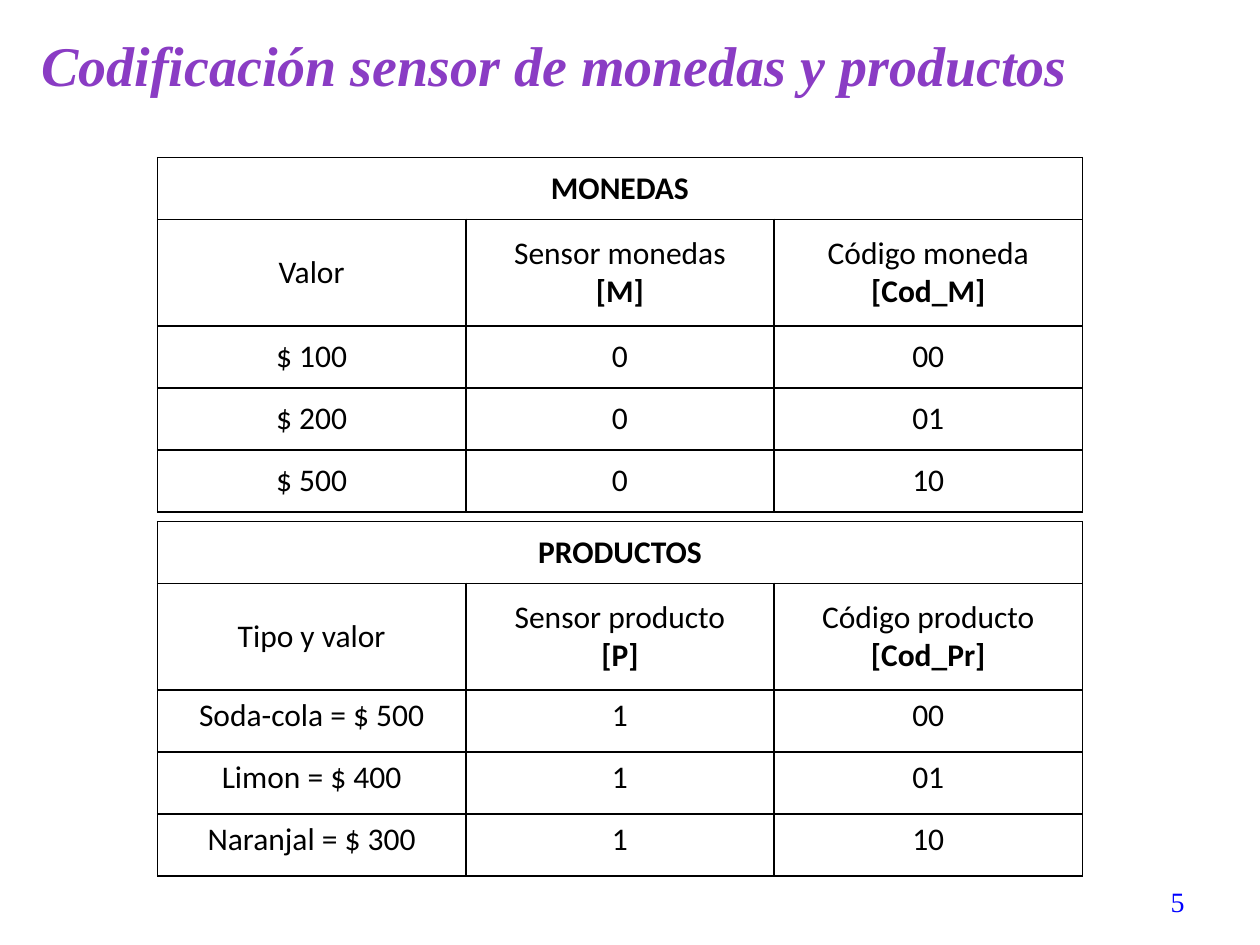
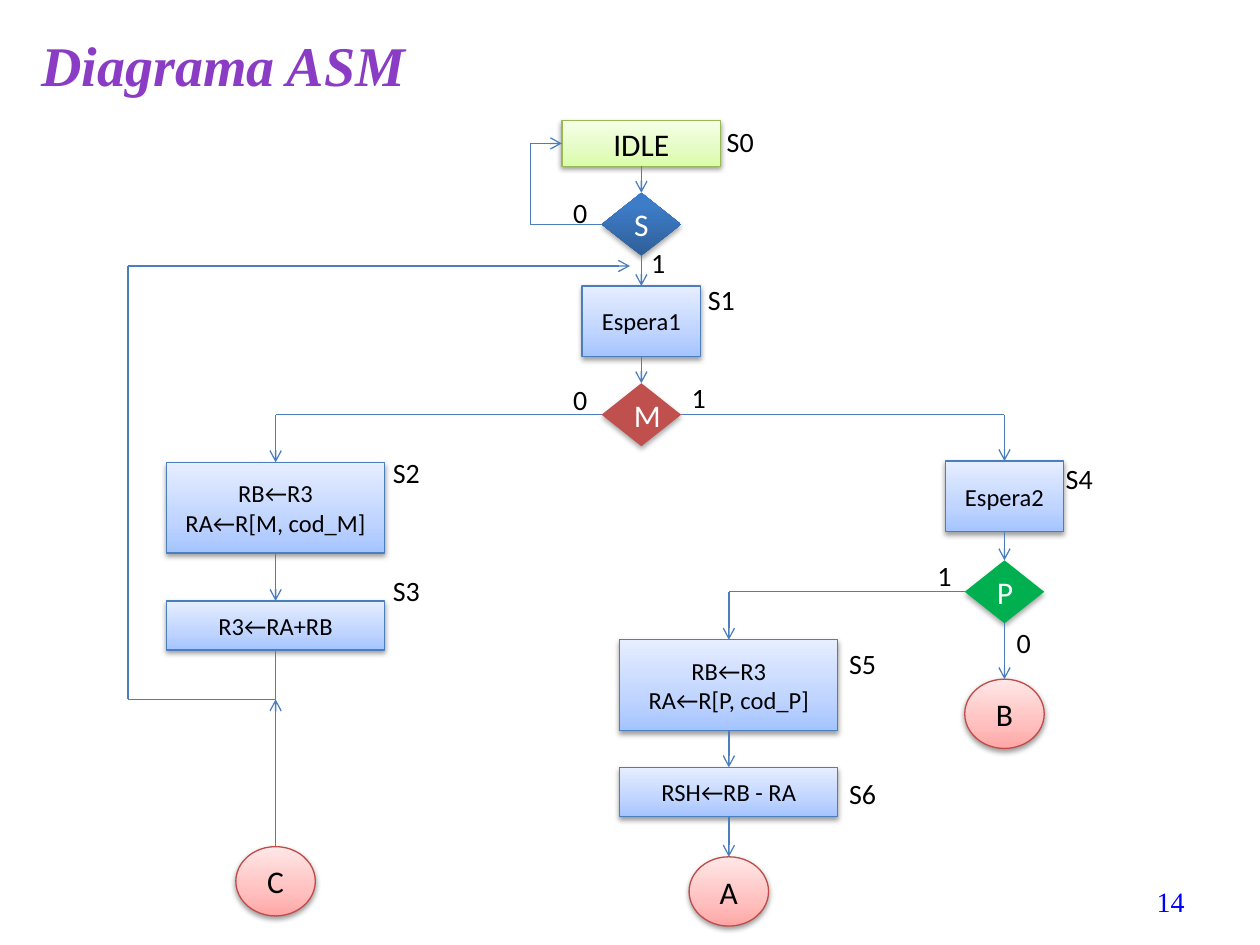
from dataclasses import dataclass
from typing import Any

from lxml import etree
from pptx import Presentation
from pptx.dml.color import RGBColor
from pptx.enum.shapes import MSO_CONNECTOR, MSO_SHAPE
from pptx.enum.text import MSO_ANCHOR, MSO_AUTO_SIZE, PP_ALIGN
from pptx.oxml.ns import qn
from pptx.util import Pt

RECTANGLE, DIAMOND, OVAL = MSO_SHAPE.RECTANGLE, MSO_SHAPE.DIAMOND, MSO_SHAPE.OVAL
STRAIGHT, ELBOW = MSO_CONNECTOR.STRAIGHT, MSO_CONNECTOR.ELBOW
ANCHOR_TOP, ANCHOR_MIDDLE = MSO_ANCHOR.TOP, MSO_ANCHOR.MIDDLE
ALIGN_LEFT, ALIGN_CENTER, ALIGN_RIGHT = PP_ALIGN.LEFT, PP_ALIGN.CENTER, PP_ALIGN.RIGHT
FIT_SHAPE = MSO_AUTO_SIZE.SHAPE_TO_FIT_TEXT
TOP, LEFT, BOTTOM, RIGHT = range(4)

BLACK, WHITE, LINK_BLUE = "000000", "FFFFFF", "4B7EBC"
TITLE_FONT = {"size": Pt(32), "name": "Times New Roman", "bold": True, "italic": True}
NUMBER_FONT = {"size": Pt(16), "name": "Times New Roman"}
CELL_FONT = {"size": Pt(18), "name": "Calibri"}
LABEL_FONT = {"size": Pt(16), "name": "Calibri"}

GREEN_FADE = ((0, "DAFDA7"), (35, "E4FCC2"), (100, "F5FFE7"))
NAVY_FADE = ((0, "2F5F99"), (80, "3D7CC7"), (100, "3A7CCB"))
BLUE_FADE = ((0, "A4C4FF"), (35, "BFD4FF"), (100, "E6EEFF"))
PINK_FADE = ((0, "FFA6A5"), (35, "FFC0BF"), (100, "FFE7E7"))

MAIN_AXIS, COIN_AXIS, PRODUCT_AXIS, WAIT_AXIS = 366.5, 157.5, 416.5, 574
MERGE_Y, RETURN_X, RETURN_Y = 399.6, 73.2, 152


@dataclass(frozen=True)
class Kind:
    outline: Any
    width: float
    height: float
    size: int
    fill: Any
    line: str | None = None
    color: str = BLACK


@dataclass(frozen=True)
class Node:
    name: str
    kind: Kind
    axis: float
    top: float
    lines: tuple[str, ...]


@dataclass(frozen=True)
class Label:
    text: str
    left: float
    top: float


@dataclass(frozen=True)
class Route:
    stops: tuple
    arrow: bool = True


@dataclass(frozen=True)
class CodeTable:
    top: float
    heading: str
    columns: tuple[tuple[str, ...], ...]
    rows: tuple[tuple[str, ...], ...]
    body_anchor: Any


def decision(fill: Any) -> Kind:
    return Kind(DIAMOND, 45.4, 36, 18, fill, color=WHITE)


IDLE = Kind(RECTANGLE, 90.7, 26, 18, GREEN_FADE, "98B955")
WAIT = Kind(RECTANGLE, 67.7, 40.3, 14, BLUE_FADE, LINK_BLUE)
LOAD = Kind(RECTANGLE, 124.6, 51.8, 14, BLUE_FADE, LINK_BLUE)
OPERATE = Kind(RECTANGLE, 124.6, 28.1, 14, BLUE_FADE, LINK_BLUE)
EXIT = Kind(OVAL, 45.4, 39.6, 18, PINK_FADE, "BF4C48")

NODES = (
    Node("idle", IDLE, MAIN_AXIS, 69, ("IDLE",)),
    Node("start", decision(NAVY_FADE), MAIN_AXIS, 110.2, ("S",)),
    Node("wait coin", WAIT, MAIN_AXIS, 163.4, ("Espera1",)),
    Node("coin", decision("C0504D"), MAIN_AXIS, 219, ("M",)),
    Node("load coin", LOAD, COIN_AXIS, 264.2, ("RB←R3", "RA←R[M, cod_M]")),
    Node("add", OPERATE, COIN_AXIS, 343.4, ("R3←RA+RB",)),
    Node("wait product", WAIT, WAIT_AXIS, 263.5, ("Espera2",)),
    Node("product", decision("00B050"), WAIT_AXIS, 320.2, ("P",)),
    Node("load price", LOAD, PRODUCT_AXIS, 365.6, ("RB←R3", "RA←R[P, cod_P]")),
    Node("subtract", OPERATE, PRODUCT_AXIS, 438.5, ("RSH←RB - RA",)),
    Node("A", EXIT, PRODUCT_AXIS, 489.6, ("A",)),
    Node("B", EXIT, WAIT_AXIS, 388.1, ("B",)),
    Node("C", EXIT, COIN_AXIS, 483.8, ("C",)),
)
DOWN_LINKS = (
    ("idle", "start"), ("start", "wait coin"), ("wait coin", "coin"),
    ("load coin", "add"), ("wait product", "product"), ("product", "B"),
    ("load price", "subtract"), ("subtract", "A"),
)
ROUTES = (
    *(Route(((upper, BOTTOM), (lower, TOP))) for upper, lower in DOWN_LINKS),
    Route((("coin", LEFT), (COIN_AXIS, 237), ("load coin", TOP))),
    Route((("coin", RIGHT), (WAIT_AXIS, 237), ("wait product", TOP))),
    Route((("product", LEFT), (PRODUCT_AXIS, 338.2), ("load price", TOP))),
    Route((("add", BOTTOM), (COIN_AXIS, MERGE_Y)), arrow=False),
    Route(((COIN_AXIS, MERGE_Y), (RETURN_X, MERGE_Y), (RETURN_X, RETURN_Y), (360, RETURN_Y))),
    Route((("C", TOP), (COIN_AXIS, MERGE_Y))),
)
LABELS = (
    Label("S0", 408.2, 67.7), Label("S1", 397.4, 157.7), Label("S2", 217.4, 257),
    Label("S3", 217.4, 324), Label("S4", 601.9, 260), Label("S5", 478.1, 365.8),
    Label("S6", 478.1, 440), Label("0", 320.4, 108), Label("1", 365, 136.8),
    Label("0", 320.4, 215.3), Label("1", 388.1, 213.8), Label("1", 528.5, 315.4),
    Label("0", 573.8, 354.2),
)
TABLES = (
    CodeTable(
        90, "MONEDAS",
        (("Valor",), ("Sensor monedas", "[M]"), ("Código moneda", "[Cod_M]")),
        (("$ 100", "0", "00"), ("$ 200", "0", "01"), ("$ 500", "0", "10")),
        ANCHOR_MIDDLE,
    ),
    CodeTable(
        298, "PRODUCTOS",
        (("Tipo y valor",), ("Sensor producto", "[P]"), ("Código producto", "[Cod_Pr]")),
        (("Soda-cola = $ 500", "1", "00"), ("Limon = $ 400", "1", "01"),
         ("Naranjal = $ 300", "1", "10")),
        ANCHOR_TOP,
    ),
)


def rgb(value: str) -> RGBColor:
    return RGBColor.from_string(value)


def apply(target: Any, values: dict) -> None:
    for name, value in values.items():
        setattr(target, name, value)


def add_color(parent: Any, value: str) -> Any:
    return etree.SubElement(parent, qn("a:srgbClr"), val=value)


def write(frame: Any, lines: tuple, font: dict, color: str, align: Any) -> None:
    for index, line in enumerate(lines):
        para = frame.paragraphs[0] if index == 0 else frame.add_paragraph()
        para.alignment = align
        span = para.add_run()
        span.text = line
        apply(span.font, font)
        span.font.color.rgb = rgb(color)


def add_text(page: Any, bounds: tuple, text: str, font: dict, color: str,
             align: Any, frame_format: dict) -> None:
    box = page.shapes.add_textbox(*map(Pt, bounds))
    apply(box.text_frame, frame_format)
    write(box.text_frame, (text,), font, color, align)


def add_page(deck: Any, title: str, number: str) -> Any:
    page = deck.slides.add_slide(deck.slide_layouts[6])
    middle = {"word_wrap": True, "vertical_anchor": ANCHOR_MIDDLE}
    add_text(page, (16.6, 11.5, 612, 50.4), title, TITLE_FONT, "8A3CC4", ALIGN_LEFT, middle)
    add_text(page, (516.2, 500.4, 167.8, 28.8), number, NUMBER_FONT, "0000FF",
             ALIGN_RIGHT, middle)
    return page


def fill_cell(cell: Any, lines: tuple, anchor: Any, bold_line: int) -> None:
    properties = cell._tc.get_or_add_tcPr()
    for side in ("a:lnL", "a:lnR", "a:lnT", "a:lnB"):
        border = etree.SubElement(properties, qn(side), w=str(Pt(1)))
        add_color(etree.SubElement(border, qn("a:solidFill")), BLACK)
    cell.fill.solid()
    cell.fill.fore_color.rgb = rgb(WHITE)
    cell.vertical_anchor = anchor
    write(cell.text_frame, lines, CELL_FONT, BLACK, ALIGN_CENTER)
    for index, para in enumerate(cell.text_frame.paragraphs):
        for span in para.runs:
            span.font.bold = index == bold_line


def add_code_table(page: Any, item: CodeTable) -> None:
    heights = (35.4, 61, 35.4, 35.4, 35.4)
    frame = page.shapes.add_table(5, 3, Pt(90), Pt(item.top), Pt(528.6), Pt(sum(heights)))
    table = frame.table
    apply(table, {"first_row": False, "horz_banding": False})
    for column in table.columns:
        column.width = Pt(176.2)
    for row, height in zip(table.rows, heights):
        row.height = Pt(height)
    table.cell(0, 0).merge(table.cell(0, 2))
    for index in range(3):
        fill_cell(table.cell(0, index), (item.heading,) if index == 0 else (), ANCHOR_MIDDLE, 0)
        fill_cell(table.cell(1, index), item.columns[index], ANCHOR_MIDDLE, 1)
        for row_index, values in enumerate(item.rows, 2):
            fill_cell(table.cell(row_index, index), (values[index],), item.body_anchor, 1)


def paint(shape: Any, fill: Any) -> None:
    if isinstance(fill, str):
        shape.fill.solid()
        shape.fill.fore_color.rgb = rgb(fill)
        return
    shape.fill.gradient()
    shape.fill.gradient_angle = 90
    stops = shape.element.spPr.find(".//" + qn("a:gsLst"))
    for stop in list(stops):
        stops.remove(stop)
    for percent, color in fill:
        add_color(etree.SubElement(stops, qn("a:gs"), pos=str(percent * 1000)), color)


def add_shadow(shape: Any, opacity: int, distance: float) -> None:
    shape.shadow.inherit = False
    effects = shape.element.spPr.find(qn("a:effectLst"))
    shadow = etree.SubElement(effects, qn("a:outerShdw"), blurRad=str(Pt(3.1)),
                              dist=str(Pt(distance)), dir="5400000", rotWithShape="0")
    etree.SubElement(add_color(shadow, BLACK), qn("a:alpha"), val=str(opacity * 1000))


def add_node(page: Any, node: Node) -> Any:
    kind = node.kind
    bounds = (node.axis - kind.width / 2, node.top, kind.width, kind.height)
    shape = page.shapes.add_shape(kind.outline, *map(Pt, bounds))
    paint(shape, kind.fill)
    if kind.line:
        shape.line.color.rgb = rgb(kind.line)
        shape.line.width = Pt(0.75)
        add_shadow(shape, 38, 1.6)
    else:
        shape.line.fill.background()
        add_shadow(shape, 35, 1.8)
    apply(shape.text_frame, {"word_wrap": True, "vertical_anchor": ANCHOR_MIDDLE})
    font = {"size": Pt(kind.size), "name": "Calibri"}
    write(shape.text_frame, node.lines, font, kind.color, ALIGN_CENTER)
    return shape


def place(stop: tuple, nodes: dict) -> tuple:
    if stop[0] not in nodes:
        return Pt(stop[0]), Pt(stop[1])
    shape, side = nodes[stop[0]], stop[1]
    across = {LEFT: 0, RIGHT: shape.width}.get(side, shape.width // 2)
    down = {TOP: 0, BOTTOM: shape.height}.get(side, shape.height // 2)
    return shape.left + across, shape.top + down


def add_link(page: Any, nodes: dict, begin: tuple, end: tuple, arrow: bool,
             kind: Any = STRAIGHT) -> Any:
    link = page.shapes.add_connector(kind, *place(begin, nodes), *place(end, nodes))
    for stop, connect in ((begin, link.begin_connect), (end, link.end_connect)):
        if stop[0] in nodes:
            connect(nodes[stop[0]], stop[1])
    link.line.color.rgb = rgb(LINK_BLUE)
    link.line.width = Pt(0.75)
    if arrow:
        etree.SubElement(link.line._get_or_add_ln(), qn("a:tailEnd"), type="arrow")
    etree.SubElement(link.element.spPr, qn("a:effectLst"))
    return link


def add_diagram(page: Any) -> None:
    nodes = {node.name: add_node(page, node) for node in NODES}
    for route in ROUTES:
        last = len(route.stops) - 2
        for index, (begin, end) in enumerate(zip(route.stops, route.stops[1:])):
            add_link(page, nodes, begin, end, route.arrow and index == last)
    idle_loop = add_link(page, nodes, ("start", LEFT), ("idle", LEFT), True, ELBOW)
    guides = idle_loop.element.spPr.find(".//" + qn("a:avLst"))
    etree.SubElement(guides, qn("a:gd"), name="adj1", fmla="val 179500")
    for label in LABELS:
        bounds = (label.left, label.top, 30.2 if len(label.text) > 1 else 23, 26.6)
        add_text(page, bounds, label.text, LABEL_FONT, BLACK, ALIGN_LEFT,
                 {"word_wrap": False, "auto_size": FIT_SHAPE})


def main() -> None:
    deck = Presentation()
    apply(deck, {"slide_width": Pt(720), "slide_height": Pt(540)})
    table_page = add_page(deck, "Codificación sensor de monedas y productos", "5")
    for item in TABLES:
        add_code_table(table_page, item)
    add_diagram(add_page(deck, "Diagrama ASM", "14"))
    deck.save("out.pptx")


if __name__ == "__main__":
    main()
